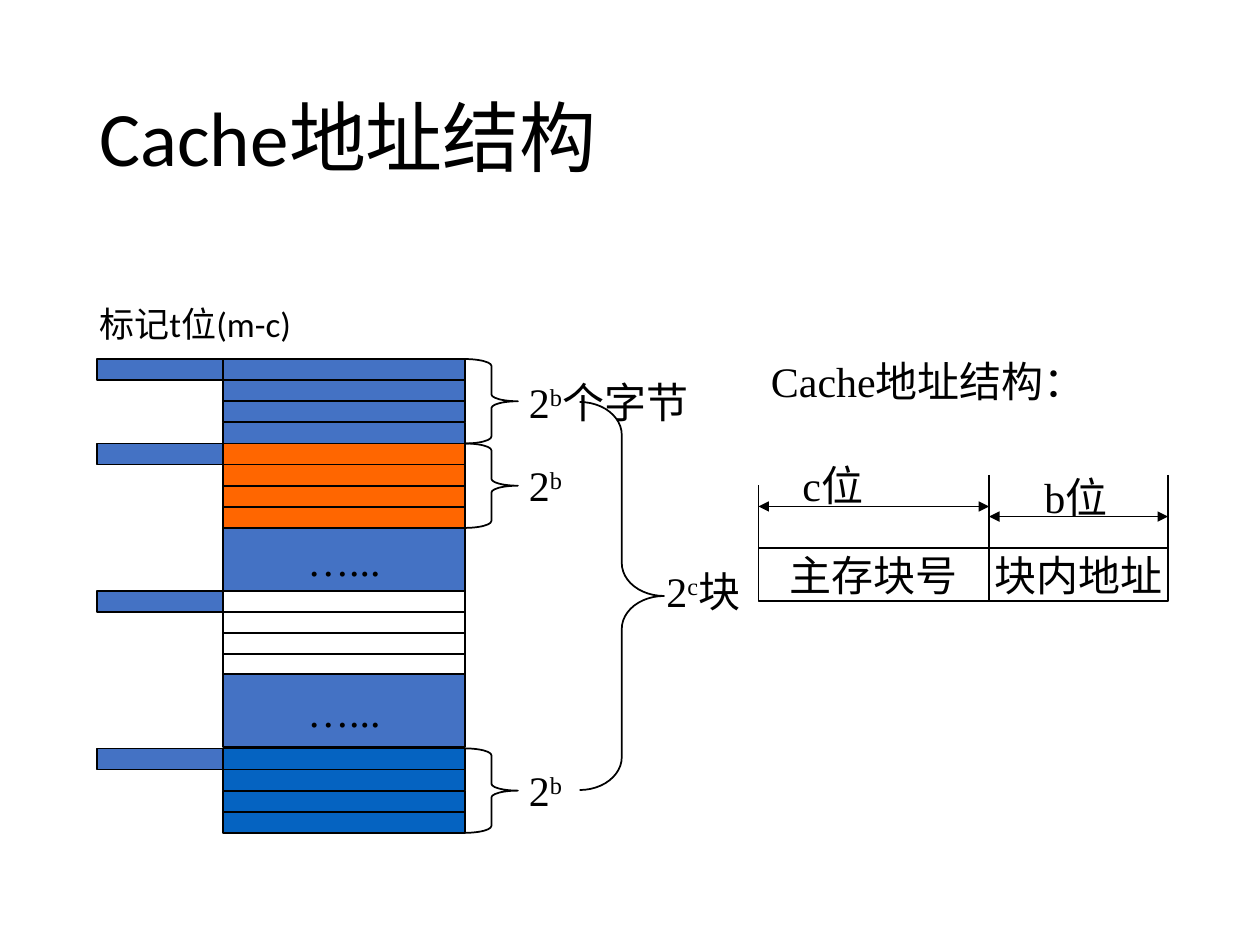
from lxml import etree
from pptx import Presentation
from pptx.dml.color import RGBColor
from pptx.enum.shapes import MSO_CONNECTOR, MSO_SHAPE
from pptx.enum.text import MSO_ANCHOR, PP_ALIGN
from pptx.oxml.ns import qn
from pptx.util import Inches, Pt

RECTANGLE = MSO_SHAPE.RECTANGLE
RIGHT_BRACE = MSO_SHAPE.RIGHT_BRACE
STRAIGHT = MSO_CONNECTOR.STRAIGHT
MIDDLE = MSO_ANCHOR.MIDDLE
CENTER, LEFT = PP_ALIGN.CENTER, PP_ALIGN.LEFT

color = RGBColor.from_string
BLACK, WHITE = "000000", "FFFFFF"
BLUE, ORANGE, DEEP_BLUE = "4472C4", "FF6600", "0563C1"
SERIF, SANS = "Times New Roman", "Calibri"

deck = Presentation()
deck.slide_width, deck.slide_height = Inches(10), Inches(7.5)
page = deck.slides.add_slide(deck.slide_layouts[5])


def write(frame, parts, font=SERIF, size=24, align=LEFT):
    para = frame.paragraphs[0]
    para.alignment = align
    for index, part in enumerate(parts):
        span = para.add_run()
        span.text = part
        if index == 1:
            span._r.get_or_add_rPr().set("baseline", "30000")
    para.font.name = font
    para.font.size = Pt(size)
    para.font.color.rgb = color(BLACK)
    return para


def draw(kind, left, top, width, height, fill=None, label=None):
    shape = page.shapes.add_shape(
        kind, Inches(left), Inches(top), Inches(width), Inches(height))
    shape.shadow.inherit = False
    shape.line.color.rgb = color(BLACK)
    shape.line.width = Pt(1)
    if fill:
        shape.fill.solid()
        shape.fill.fore_color.rgb = color(fill)
    else:
        shape.fill.background()
    if label:
        shape.text_frame.word_wrap = False
        shape.text_frame.vertical_anchor = MIDDLE
        write(shape.text_frame, [label], align=CENTER)
    return shape


title = page.shapes.title
title.left, title.top = Inches(0.69), Inches(0.4)
title.width, title.height = Inches(8.62), Inches(1.45)
title.text_frame.vertical_anchor = MIDDLE
write(title.text_frame, ["Cache地址结构"], SANS, 44).line_spacing = 0.9

TAG_LEFT, TAG_WIDTH = 0.77, 1
CACHE_LEFT, CACHE_WIDTH = 1.77, 1.92
BLOCK_HEIGHT, ROWS = 0.67, 4
ROW_HEIGHT = BLOCK_HEIGHT / ROWS
BRACE_LEFT = CACHE_LEFT + CACHE_WIDTH

blocks = [(2.85, BLUE, True), (3.52, ORANGE, True),
          (4.69, WHITE, False), (5.94, DEEP_BLUE, True)]
for top, fill, has_brace in blocks:
    for row in range(ROWS):
        draw(RECTANGLE, CACHE_LEFT, top + row * ROW_HEIGHT,
             CACHE_WIDTH, ROW_HEIGHT, fill)
    draw(RECTANGLE, TAG_LEFT, top, TAG_WIDTH, ROW_HEIGHT, BLUE)
    if has_brace:
        brace = draw(RIGHT_BRACE, BRACE_LEFT, top, 0.42, BLOCK_HEIGHT)
        brace.adjustments[0] = 0.13

for top, height in [(4.19, 0.5), (5.35, 0.58)]:
    draw(RECTANGLE, CACHE_LEFT, top, CACHE_WIDTH, height, BLUE, "…...")

total_brace = draw(RIGHT_BRACE, 4.6, 3.19, 0.67, 3.08)
total_brace.adjustments[0] = 0.39

fields = [(6.02, 1.83, "主存块号"), (7.85, 1.42, "块内地址")]
for left, width, name in fields:
    draw(RECTANGLE, left, 4.35, width, 0.42, WHITE, name)

lines = [
    (6.02, 3.85, 6.02, 4.35, False),
    (7.85, 3.77, 7.85, 4.35, False),
    (9.27, 3.77, 9.27, 4.35, False),
    (6.02, 4.02, 7.85, 4.02, True),
    (7.85, 4.1, 9.27, 4.1, True),
]
for x1, y1, x2, y2, has_arrows in lines:
    line = page.shapes.add_connector(
        STRAIGHT, Inches(x1), Inches(y1), Inches(x2), Inches(y2))
    line.line.color.rgb = color(BLACK)
    line.line.width = Pt(1)
    properties = line._element.spPr
    etree.SubElement(properties, qn("a:effectLst"))
    if has_arrows:
        for end in ("a:headEnd", "a:tailEnd"):
            etree.SubElement(properties.find(qn("a:ln")), qn(end), type="triangle")

labels = [
    (4.1, 2.94, 1.83, 0.5, ["2", "b", "个字节"], SERIF, 24),
    (4.1, 3.6, 0.5, 0.5, ["2", "b"], SERIF, 24),
    (4.1, 6.02, 0.5, 0.5, ["2", "b"], SERIF, 24),
    (5.19, 4.44, 1.17, 0.5, ["2", "c", "块"], SERIF, 24),
    (6.02, 2.77, 2.58, 1.11, ["Cache地址结构："], SERIF, 24),
    (6.27, 3.6, 1.25, 0.5, ["c位"], SERIF, 24),
    (8.19, 3.69, 0.92, 0.5, ["b位"], SERIF, 24),
    (0.69, 2.35, 2, 0.43, ["标记t位(m-c)"], SANS, 20),
]
for left, top, width, height, parts, font, size in labels:
    box = page.shapes.add_textbox(
        Inches(left), Inches(top), Inches(width), Inches(height))
    box.text_frame.word_wrap = True
    write(box.text_frame, parts, font, size)

deck.save("out.pptx")
